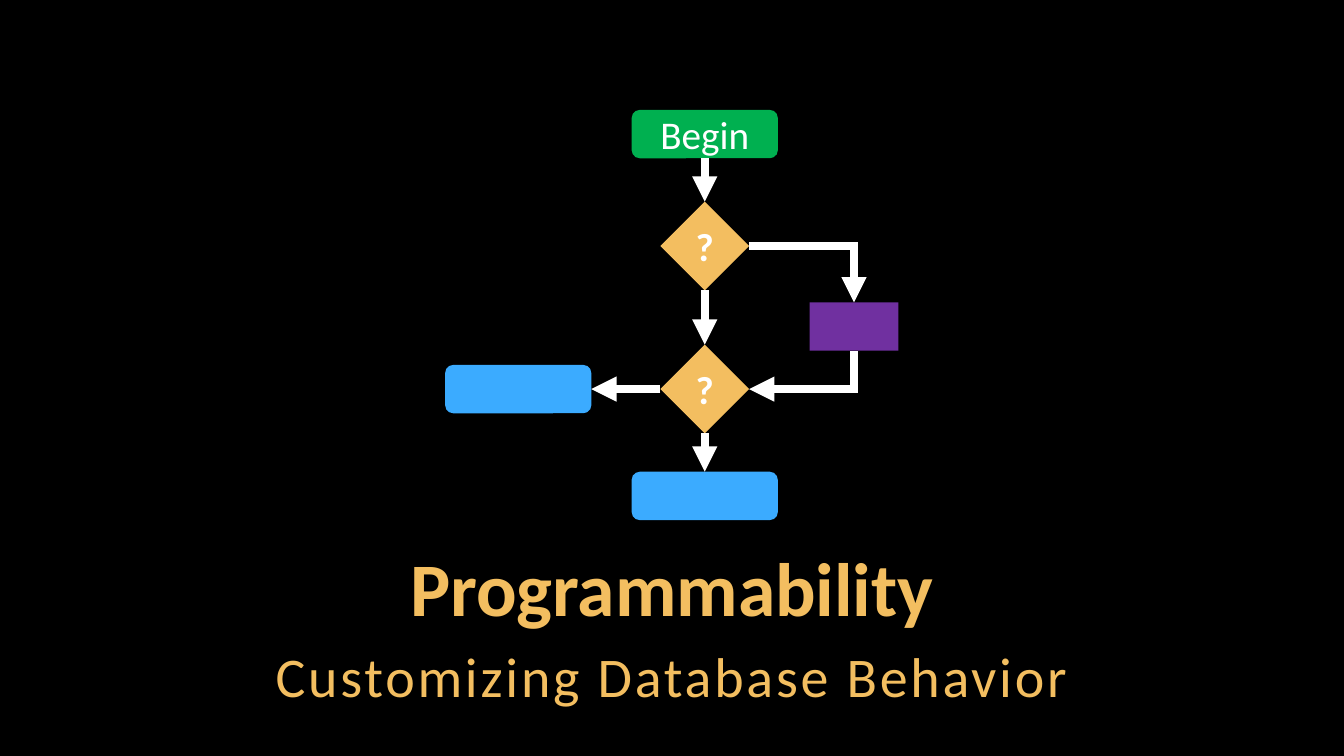
"""Build the Programmability section slide with its flowchart."""
from dataclasses import dataclass

from pptx import Presentation
from pptx import util as u
from pptx.dml.color import RGBColor
from pptx.enum import shapes, text
from pptx.oxml import ns, xmlchemy


@dataclass(frozen=True)
class Theme:
    font: str = "Calibri"
    background: str = "000000"
    white: str = "FFFFFF"
    gold: str = "F3BE60"
    green: str = "00B050"
    purple: str = "7030A0"
    blue: str = "3BABFF"
    title_size: int = 54
    subtitle_size: int = 40
    label_size: int = 28
    arrow_width: int = 6


theme = Theme()


def write(frame, wording, size, color, bold=False):
    frame.text = wording
    para = frame.paragraphs[0]
    para.alignment = text.PP_ALIGN.CENTER
    para.space_before = u.Pt(0)
    span = para.runs[0]
    span.font.name = theme.font
    span.font.size = u.Pt(size)
    span.font.bold = bold
    span.font.color.rgb = RGBColor.from_string(color)
    return para


def add_arrow(kind, left, top, right, bottom):
    arrow = slide.shapes.add_connector(
        kind, *(u.Inches(value) for value in (left, top, right, bottom)))
    arrow.line.width = u.Pt(theme.arrow_width)
    arrow.line.color.rgb = RGBColor.from_string(theme.white)
    outline = arrow.line._get_or_add_ln()
    corner = xmlchemy.OxmlElement("a:miter")
    corner.set("lim", "800000")
    head = xmlchemy.OxmlElement("a:tailEnd")
    head.set("type", "triangle")
    outline.extend((corner, head))
    arrow._element.spPr.append(xmlchemy.OxmlElement("a:effectLst"))
    return arrow


deck = Presentation()
deck.slide_width, deck.slide_height = u.Inches(13.33), u.Inches(7.5)
slide = deck.slides.add_slide(deck.slide_layouts[0])
slide.background.fill.solid()
slide.background.fill.fore_color.rgb = RGBColor.from_string(theme.background)

title, subtitle = slide.placeholders
for box, top, height, wording, size, bold, spacing in (
    (title, 5.42, 0.9, "Programmability", theme.title_size, True, 0.9),
    (subtitle, 6.29, 0.79, "Customizing Database Behavior", theme.subtitle_size, False, 1.05),
):
    box.left, box.top = u.Inches(1), u.Inches(top)
    box.width, box.height = u.Inches(11.33), u.Inches(height)
    frame = box.text_frame
    frame.word_wrap = True
    frame.auto_size = text.MSO_AUTO_SIZE.SHAPE_TO_FIT_TEXT
    frame.margin_left = frame.margin_right = u.Inches(0.04)
    frame.margin_top = frame.margin_bottom = u.Inches(0.04)
    write(frame, wording, size, theme.gold, bold).line_spacing = spacing

title.text_frame.vertical_anchor = text.MSO_ANCHOR.BOTTOM
subtitle.text_frame.vertical_anchor = text.MSO_ANCHOR.TOP
subtitle_para = subtitle.text_frame.paragraphs[0]
subtitle_para.space_after = u.Pt(6)
subtitle_para.runs[0].font._element.set("spc", "200")

TERMINAL = shapes.MSO_SHAPE.FLOWCHART_ALTERNATE_PROCESS
DIAMOND = shapes.MSO_SHAPE.DIAMOND
RECTANGLE = shapes.MSO_SHAPE.RECTANGLE
steps = {}
for name, kind, center_x, center_y, width, height, color, label in (
    ("begin", TERMINAL, 6.99, 1.33, 1.45, 0.48, theme.green, "Begin"),
    ("first test", DIAMOND, 6.99, 2.44, 0.88, 0.88, theme.gold, "?"),
    ("second test", DIAMOND, 6.99, 3.86, 0.88, 0.88, theme.gold, "?"),
    ("action", RECTANGLE, 8.47, 3.24, 0.88, 0.48, theme.purple, None),
    ("bottom end", TERMINAL, 6.99, 4.92, 1.45, 0.48, theme.blue, None),
    ("left end", TERMINAL, 5.14, 3.86, 1.45, 0.48, theme.blue, None),
):
    step = slide.shapes.add_shape(
        kind, u.Inches(center_x - width / 2), u.Inches(center_y - height / 2),
        u.Inches(width), u.Inches(height))
    step.shadow.inherit = False
    step.fill.solid()
    step.fill.fore_color.rgb = RGBColor.from_string(color)
    step.line.fill.background()
    if label:
        step.text_frame.vertical_anchor = text.MSO_ANCHOR.MIDDLE
        write(step.text_frame, label, theme.label_size, theme.white, label == "?")
    steps[name] = step

TOP, LEFT, BOTTOM, RIGHT = range(4)
for source, source_side, target, target_side, ends in (
    ("begin", BOTTOM, "first test", TOP, (6.99, 1.57, 6.99, 2)),
    ("first test", BOTTOM, "second test", TOP, (6.99, 2.88, 6.99, 3.42)),
    ("second test", BOTTOM, "bottom end", TOP, (6.99, 4.3, 6.99, 4.68)),
    ("second test", LEFT, "left end", RIGHT, (6.54, 3.86, 5.86, 3.86)),
):
    arrow = add_arrow(shapes.MSO_CONNECTOR.STRAIGHT, *ends)
    arrow.begin_connect(steps[source], source_side)
    arrow.end_connect(steps[target], target_side)

for left, top, width, height, degrees in (
    (7.43, 2.44, 1.04, 0.56, 0),
    (7.76, 3.15, 0.38, 1.04, 90),
):
    bend = add_arrow(shapes.MSO_CONNECTOR.ELBOW, left, top, left + width, top + height)
    properties = bend._element.spPr
    properties.find(ns.qn("a:prstGeom")).set("prst", "bentConnector2")
    if degrees:
        properties.find(ns.qn("a:xfrm")).set("rot", str(degrees * 60000))

deck.save("out.pptx")
